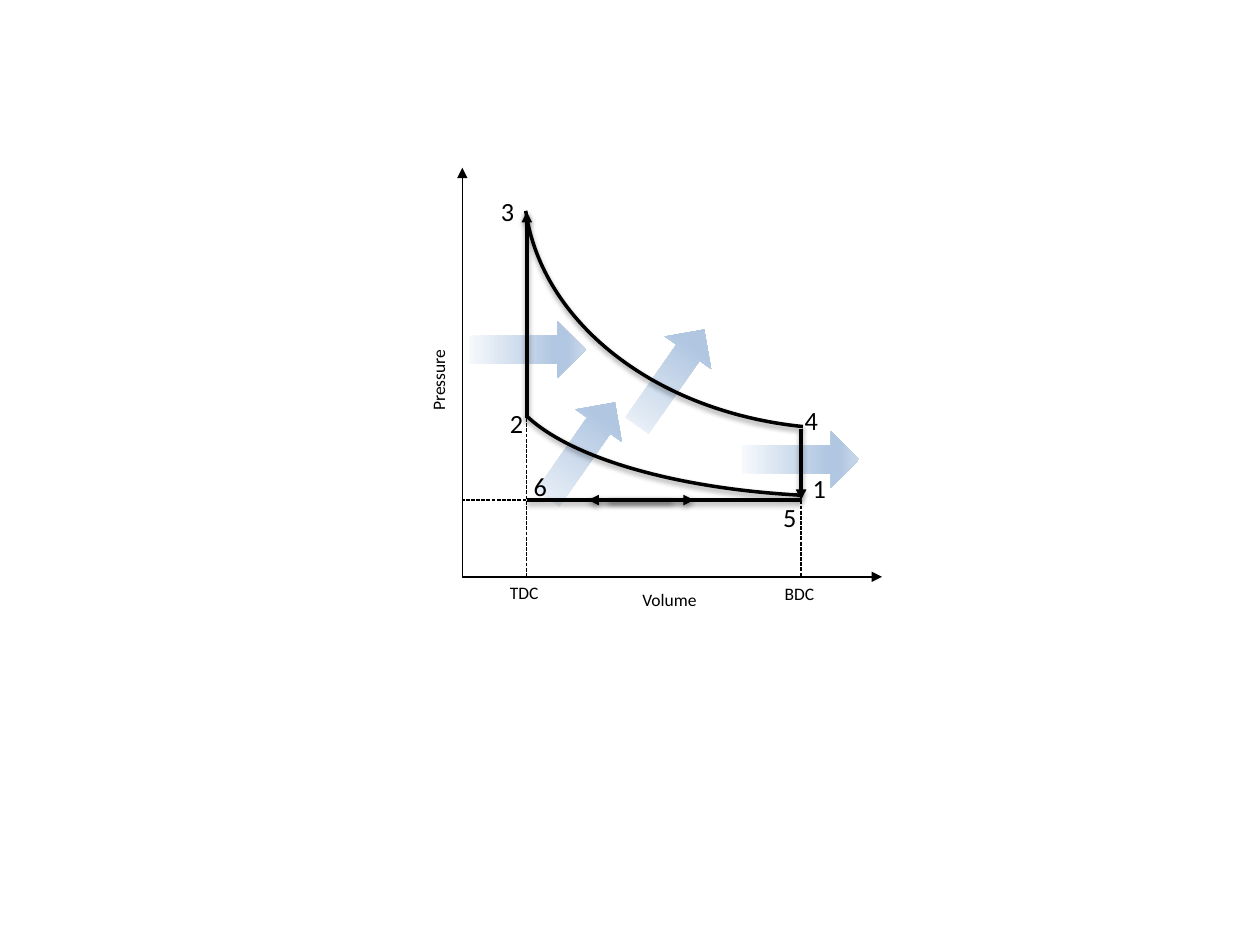
from lxml.etree import SubElement
from pptx import Presentation
from pptx.dml.color import RGBColor
from pptx.enum.dml import MSO_LINE
from pptx.enum.shapes import MSO_CONNECTOR, MSO_SHAPE
from pptx.enum.text import MSO_AUTO_SIZE
from pptx.oxml.ns import qn
from pptx.util import Cm, Pt

COLORS = {"ink": "000000", "red": "BF4C48"}
FLOW_STOPS = [(0, "F6F9FC"), (74, "B0C6E1"), (83, "B0C6E1"), (100, "CAD9EB")]
FONT = "Calibri"
THIN, THICK = 0.75, 2
TDC, BDC = 1.3, 6.83      # piston positions across the plot, cm
INTAKE = 6.7              # depth of the intake and exhaust line, cm


def add_effects(shape, shadow):
    properties = shape._element.spPr
    effects = properties.find(qn("a:effectLst"))
    if effects is None:
        effects = SubElement(properties, qn("a:effectLst"))
    if shadow:
        outer = SubElement(effects, qn("a:outerShdw"), blurRad="40000",
                           dist="20000", dir="5400000", rotWithShape="0")
        color = SubElement(outer, qn("a:srgbClr"), val=COLORS["ink"])
        SubElement(color, qn("a:alpha"), val="38000")


def style_line(shape, width, color="ink"):
    shape.line.width = Pt(width)
    shape.line.color.rgb = RGBColor.from_string(COLORS[color])


def add_line(page, box, start, end, width=THIN, color="ink",
             dashed=False, arrow=False):
    left, top = box[:2]
    line = page.shapes.add_connector(
        MSO_CONNECTOR.STRAIGHT, Cm(left + start[0]), Cm(top + start[1]),
        Cm(left + end[0]), Cm(top + end[1]))
    style_line(line, width, color)
    if dashed:
        line.line.dash_style = MSO_LINE.SQUARE_DOT
    if arrow:
        SubElement(line.line._get_or_add_ln(), qn("a:tailEnd"), type="triangle")
    add_effects(line, shadow=width == THICK)


def add_flow_arrow(page, box, x, y, rotation):
    """Block arrow fading in from its tail, for heat or work crossing the cycle."""
    arrow = page.shapes.add_shape(MSO_SHAPE.RIGHT_ARROW, Cm(box[0] + x),
                                  Cm(box[1] + y), Cm(2.36), Cm(1.14))
    arrow.rotation = rotation
    arrow.shadow.inherit = False
    arrow.line.fill.background()
    arrow.fill.gradient()
    arrow.fill.gradient_angle = 0
    stops = arrow._element.spPr.find(qn("a:gradFill")).find(qn("a:gsLst"))
    for stop in list(stops):
        stops.remove(stop)
    for position, color in FLOW_STOPS:
        stop = SubElement(stops, qn("a:gs"), pos=str(position * 1000))
        SubElement(stop, qn("a:srgbClr"), val=color)


def add_curve(page, box, x, y, width, height, angles):
    curve = page.shapes.add_shape(MSO_SHAPE.ARC, Cm(box[0] + x), Cm(box[1] + y),
                                  Cm(width), Cm(height))
    curve.rotation = 180
    for index, angle in enumerate(angles):
        curve.adjustments[index] = angle
    curve.fill.background()
    style_line(curve, THICK)
    curve.shadow.inherit = False
    add_effects(curve, shadow=True)


def add_label(page, box, text, x, y, width, height, size, rotation=0):
    label = page.shapes.add_textbox(Cm(box[0] + x), Cm(box[1] + y),
                                    Cm(width), Cm(height))
    label.rotation = rotation
    frame = label.text_frame
    frame.word_wrap = True
    frame.auto_size = MSO_AUTO_SIZE.SHAPE_TO_FIT_TEXT
    frame.text = text
    span = frame.paragraphs[0].runs[0]
    span.font.name = FONT
    span.font.size = Pt(size)
    span.font.color.rgb = RGBColor.from_string(COLORS["ink"])


def draw_axes(page, box):
    width, height = box[2:]
    origin = (0, height)
    add_line(page, box, origin, (0, 0), arrow=True)
    add_line(page, box, origin, (width, height), arrow=True)
    add_line(page, box, (TDC, 0.89), (TDC, height), dashed=True)
    add_line(page, box, (BDC, 6.5), (BDC, height), dashed=True)
    add_line(page, box, (1.5, INTAKE), (0, INTAKE), dashed=True)


def draw_cycle(page, box):
    add_line(page, box, (BDC, INTAKE), (BDC, 5.26), color="red")
    add_line(page, box, (TDC, INTAKE), (BDC, INTAKE), THICK)
    add_curve(page, box, 0.84, 1.6, 14.05, 5.03, (175.84, 211.33))
    add_curve(page, box, 1.24, -4.57, 12.93, 9.83, (167.86, 213.2))
    for start, end in [((TDC, 5.05), (TDC, 0.89)),
                       ((BDC, 5.26), (BDC, INTAKE)),
                       ((4.24, INTAKE), (2.54, INTAKE)),
                       ((2.95, INTAKE), (4.67, INTAKE))]:
        add_line(page, box, start, end, THICK, arrow=True)


def draw_labels(page, box):
    for text, x, y, rotation in [("Pressure", -1.98, 3.3, 270),
                                 ("Volume", 3.38, 8.36, 0),
                                 ("TDC", 0.71, 8.23, 0),
                                 ("BDC", 6.25, 8.25, 0)]:
        add_label(page, box, text, x, y, 3, 0.69, 10, rotation)
    for text, x, y in [("1", 6.81, 6.02), ("2", 0.71, 4.7), ("3", 0.53, 0.43),
                       ("4", 6.65, 4.65), ("5", 6.22, 6.6), ("6", 1.19, 5.97)]:
        add_label(page, box, text, x, y, 0.81, 0.89, 15)


def draw_pressure_volume_diagram(page, box):
    for x, y, rotation in [(1.22, 5.13, 305), (0.13, 3.1, 0),
                           (5.64, 5.31, 0), (3.02, 3.66, 305)]:
        add_flow_arrow(page, box, x, y, rotation)
    draw_axes(page, box)
    draw_cycle(page, box)
    draw_labels(page, box)


def main():
    deck = Presentation()
    deck.slide_width, deck.slide_height = Cm(25.4), Cm(19.05)
    page = deck.slides.add_slide(deck.slide_layouts[6])
    draw_pressure_volume_diagram(page, (9.32, 3.38, 8.46, 8.25))
    deck.save("out.pptx")


if __name__ == "__main__":
    main()
